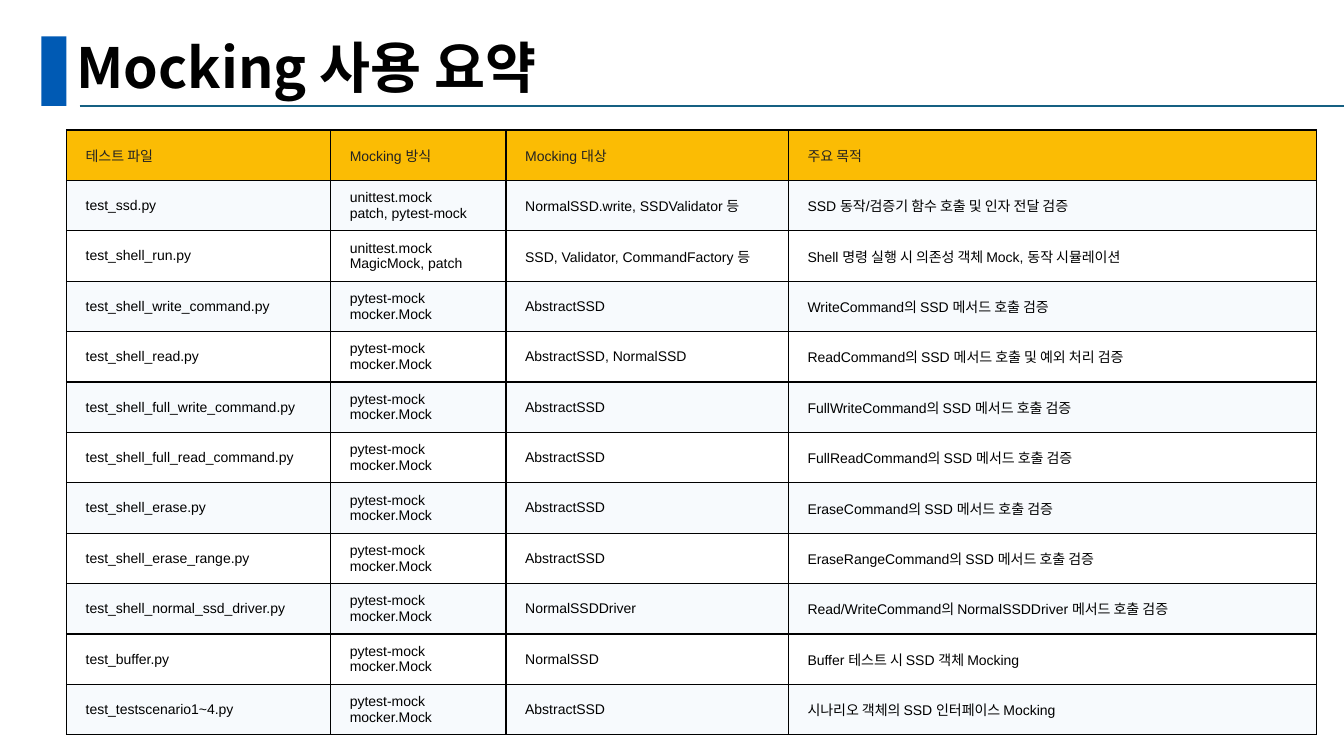
from lxml import etree
from pptx import Presentation
from pptx.dml.color import RGBColor
from pptx.enum.shapes import MSO_CONNECTOR, MSO_SHAPE
from pptx.enum.text import MSO_ANCHOR, PP_ALIGN
from pptx.oxml.ns import qn
from pptx.util import Inches, Pt

LINE = MSO_CONNECTOR.STRAIGHT
RECT = MSO_SHAPE.RECTANGLE
MIDDLE = MSO_ANCHOR.MIDDLE
LEFT = PP_ALIGN.LEFT

TITLE = "Mocking 사용 요약"
HEAD = ("테스트 파일", "Mocking 방식", "Mocking 대상", "주요 목적")
MOCK = "pytest-mock\nmocker.Mock"
ROWS = [
    ("test_ssd.py", "unittest.mock\npatch, pytest-mock",
     "NormalSSD.write, SSDValidator 등", "SSD 동작/검증기 함수 호출 및 인자 전달 검증"),
    ("test_shell_run.py", "unittest.mock\nMagicMock, patch",
     "SSD, Validator, CommandFactory 등",
     "Shell 명령 실행 시 의존성 객체 Mock, 동작 시뮬레이션"),
    ("test_shell_write_command.py", MOCK, "AbstractSSD",
     "WriteCommand의 SSD 메서드 호출 검증"),
    ("test_shell_read.py", MOCK, "AbstractSSD, NormalSSD",
     "ReadCommand의 SSD 메서드 호출 및 예외 처리 검증"),
    ("test_shell_full_write_command.py", MOCK, "AbstractSSD",
     "FullWriteCommand의 SSD 메서드 호출 검증"),
    ("test_shell_full_read_command.py", MOCK, "AbstractSSD",
     "FullReadCommand의 SSD 메서드 호출 검증"),
    ("test_shell_erase.py", MOCK, "AbstractSSD",
     "EraseCommand의 SSD 메서드 호출 검증"),
    ("test_shell_erase_range.py", MOCK, "AbstractSSD",
     "EraseRangeCommand의 SSD 메서드 호출 검증"),
    ("test_shell_normal_ssd_driver.py", MOCK, "NormalSSDDriver",
     "Read/WriteCommand의 NormalSSDDriver 메서드 호출 검증"),
    ("test_buffer.py", MOCK, "NormalSSD", "Buffer 테스트 시 SSD 객체 Mocking"),
    ("test_testscenario1~4.py", MOCK, "AbstractSSD",
     "시나리오 객체의 SSD 인터페이스 Mocking"),
]
COLORS = {"bar": "005AB4", "rule": "156082", "head": "FBBC04", "odd": "F7FAFD",
          "even": "FFFFFF", "dark": "222222", "black": "000000"}
LATIN, KOREAN = "Arial", "Noto Sans CJK KR"
WIDE, HIGH = 13.33, 7.5
EDGE, TOP, ROW = 0.66, 1.29, 0.5
COLS = (2.62, 1.74, 2.8, 5.24)
PAD = 0.19


def color(name):
    return RGBColor.from_string(COLORS[name])


def write(para, text, size, font, tint, bold=False):
    para.alignment = LEFT
    for n, part in enumerate(text.split("\n")):
        if n:
            para.add_line_break()
        run = para.add_run()
        run.text = part
        run.font.size = Pt(size)
        run.font.name = font
        run.font.bold = bold
        run.font.color.rgb = color(tint)
        etree.SubElement(run.font._element, qn("a:ea"), typeface=KOREAN)


def border(cell):
    props = cell._tc.get_or_add_tcPr()
    for n, side in enumerate(("lnL", "lnR", "lnT", "lnB")):
        line = etree.Element(qn("a:" + side), w=str(Pt(1)))
        fill = etree.SubElement(line, qn("a:solidFill"))
        etree.SubElement(fill, qn("a:srgbClr"), val=COLORS["black"])
        props.insert(n, line)


def fill_cell(cell, text, back, tint):
    cell.fill.solid()
    cell.fill.fore_color.rgb = color(back)
    cell.vertical_anchor = MIDDLE
    cell.margin_left = cell.margin_right = Inches(PAD)
    cell.margin_top = cell.margin_bottom = 0
    write(cell.text_frame.paragraphs[0], text, 10, LATIN, tint)
    border(cell)


def add_title(slide):
    bar = slide.shapes.add_shape(RECT, Inches(0.41), Inches(0.36), Inches(0.25), Inches(0.69))
    bar.shadow.inherit = False
    bar.fill.solid()
    bar.fill.fore_color.rgb = color("bar")
    bar.line.fill.background()

    rule = slide.shapes.add_connector(LINE, Inches(0.79), Inches(1.05), Inches(WIDE), Inches(1.05))
    rule.line.color.rgb = color("rule")
    rule.line.width = Pt(1.5)
    etree.SubElement(rule._element.spPr, qn("a:effectLst"))

    title = slide.shapes.title
    title.left, title.top = Inches(EDGE), Inches(0.34)
    title.width, title.height = Inches(11.5), Inches(0.71)
    frame = title.text_frame
    frame.word_wrap = True
    frame.vertical_anchor = MIDDLE
    para = frame.paragraphs[0]
    para.line_spacing = 0.9
    write(para, TITLE, 39.6, KOREAN, "black", True)


def add_grid(slide):
    count = len(ROWS) + 1
    grid = slide.shapes.add_table(count, len(COLS), Inches(EDGE), Inches(TOP),
                                  Inches(sum(COLS)), Inches(ROW * count)).table
    for col, width in zip(grid.columns, COLS):
        col.width = Inches(width)
    for r, row in enumerate([HEAD] + ROWS):
        grid.rows[r].height = Inches(ROW)
        back = "head" if r == 0 else "odd" if r % 2 else "even"
        tint = "black" if r else "dark"
        for c, text in enumerate(row):
            fill_cell(grid.cell(r, c), text, back, tint)


def main():
    deck = Presentation()
    deck.slide_width, deck.slide_height = Inches(WIDE), Inches(HIGH)
    slide = deck.slides.add_slide(deck.slide_layouts[5])
    add_title(slide)
    add_grid(slide)
    deck.save("out.pptx")


if __name__ == "__main__":
    main()
